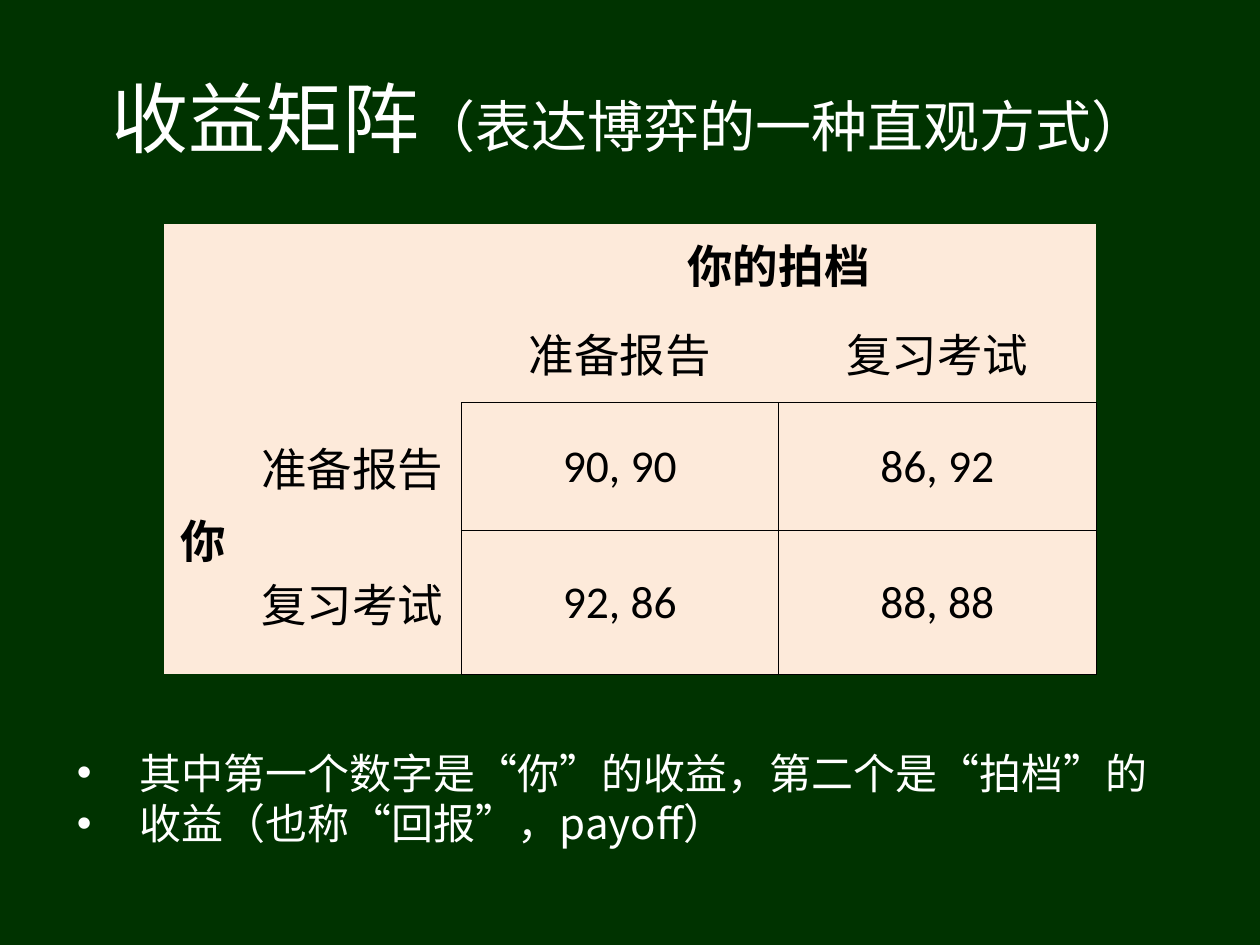
from lxml import etree
from pptx import Presentation
from pptx.dml.color import RGBColor
from pptx.enum.text import MSO_ANCHOR, PP_ALIGN
from pptx.oxml.ns import qn
from pptx.util import Inches, Pt

CENTER = PP_ALIGN.CENTER
LEFT = PP_ALIGN.LEFT
MIDDLE = MSO_ANCHOR.MIDDLE
TOP = MSO_ANCHOR.TOP

GREEN = RGBColor(0x00, 0x33, 0x00)
WHITE = RGBColor(0xFF, 0xFF, 0xFF)
BLACK = RGBColor(0x00, 0x00, 0x00)
PEACH = RGBColor(0xFD, 0xEA, 0xDA)

CHINESE_FONT = "Noto Sans CJK SC"
TABLE_FONT = "Calibri"

COLUMN_WIDTHS = [0.63, 1.73, 2.52, 2.52]
ROW_HEIGHTS = [0.55, 0.79, 1.02, 1.14]
PAYOFF_ROWS = [
    ["", "", "你的拍档", ""],
    ["", "", "准备报告", "复习考试"],
    ["你", "准备报告", "90, 90", "86, 92"],
    ["", "复习考试", "92, 86", "88, 88"],
]
PLAYERS = ("你", "你的拍档")
NOTES = [
    "其中第一个数字是“你”的收益，第二个是“拍档”的",
    "收益（也称“回报”，payoff）",
]


def add_run(paragraph, text, size, color, font_name, bold=False):
    run = paragraph.add_run()
    run.text = text
    run.font.size = Pt(size)
    run.font.bold = bold
    run.font.color.rgb = color
    run.font.name = font_name
    east_asian = etree.SubElement(run._r.get_or_add_rPr(), qn("a:ea"))
    east_asian.set("typeface", CHINESE_FONT)


def place(shape, left, top, width, height):
    shape.left, shape.top = Inches(left), Inches(top)
    shape.width, shape.height = Inches(width), Inches(height)


def fill_title(title):
    place(title, 0.5, 0.3, 9, 1.25)
    title.text_frame.vertical_anchor = MIDDLE
    paragraph = title.text_frame.paragraphs[0]
    paragraph.alignment = CENTER
    add_run(paragraph, "收益矩阵", 44, WHITE, CHINESE_FONT)
    add_run(paragraph, "（表达博弈的一种直观方式）", 32, WHITE, CHINESE_FONT)


def set_bullet(paragraph):
    properties = paragraph._p.get_or_add_pPr()
    properties.set("marL", str(Inches(0.5)))
    properties.set("indent", str(-Inches(0.5)))
    bullet_color = etree.SubElement(properties, qn("a:buClr"))
    etree.SubElement(bullet_color, qn("a:srgbClr")).set("val", str(WHITE))
    etree.SubElement(properties, qn("a:buFont")).set("typeface", "Arial")
    etree.SubElement(properties, qn("a:buChar")).set("char", "•")


def fill_notes(body):
    place(body, 0.51, 5.88, 8.98, 0.9)
    frame = body.text_frame
    frame.vertical_anchor = TOP
    for index, text in enumerate(NOTES):
        paragraph = frame.add_paragraph() if index else frame.paragraphs[0]
        set_bullet(paragraph)
        paragraph.alignment = LEFT
        paragraph.space_before = Pt(0)
        add_run(paragraph, text, 24, WHITE, CHINESE_FONT)


def set_borders(cell, sides):
    properties = cell._tc.get_or_add_tcPr()
    for position, side in enumerate("LRTB"):
        line = etree.Element(qn(f"a:ln{side}"))
        if side in sides:
            line.set("w", str(Pt(0.45)))
            fill = etree.SubElement(line, qn("a:solidFill"))
            etree.SubElement(fill, qn("a:srgbClr")).set("val", str(BLACK))
        else:
            line.set("w", "0")
            etree.SubElement(line, qn("a:noFill"))
        properties.insert(position, line)


def border_sides(row, column):
    if row >= 2 and column >= 2:
        return "LRTB"
    if row == 1 and column >= 2:
        return "B"
    if row >= 2 and column == 1:
        return "R"
    return ""


def add_payoff_table(slide):
    frame = slide.shapes.add_table(
        len(ROW_HEIGHTS), len(COLUMN_WIDTHS), Inches(1.3), Inches(1.78),
        Inches(sum(COLUMN_WIDTHS)), Inches(sum(ROW_HEIGHTS)))
    table = frame.table
    table.first_row = False
    table.horz_banding = False
    for column, width in zip(table.columns, COLUMN_WIDTHS):
        column.width = Inches(width)
    for row, height in zip(table.rows, ROW_HEIGHTS):
        row.height = Inches(height)
    for row_index, texts in enumerate(PAYOFF_ROWS):
        for column_index, text in enumerate(texts):
            cell = table.cell(row_index, column_index)
            cell.fill.solid()
            cell.fill.fore_color.rgb = PEACH
            cell.vertical_anchor = MIDDLE
            set_borders(cell, border_sides(row_index, column_index))
            if text:
                paragraph = cell.text_frame.paragraphs[0]
                paragraph.alignment = CENTER
                add_run(paragraph, text, 26, BLACK, TABLE_FONT, text in PLAYERS)
    table.cell(0, 2).merge(table.cell(0, 3))
    table.cell(2, 0).merge(table.cell(3, 0))


def main():
    presentation = Presentation()
    presentation.slide_width = Inches(10)
    presentation.slide_height = Inches(7.5)
    slide = presentation.slides.add_slide(presentation.slide_layouts[1])
    slide.background.fill.solid()
    slide.background.fill.fore_color.rgb = GREEN
    fill_title(slide.shapes.title)
    add_payoff_table(slide)
    fill_notes(slide.placeholders[1])
    presentation.save("out.pptx")


if __name__ == "__main__":
    main()
